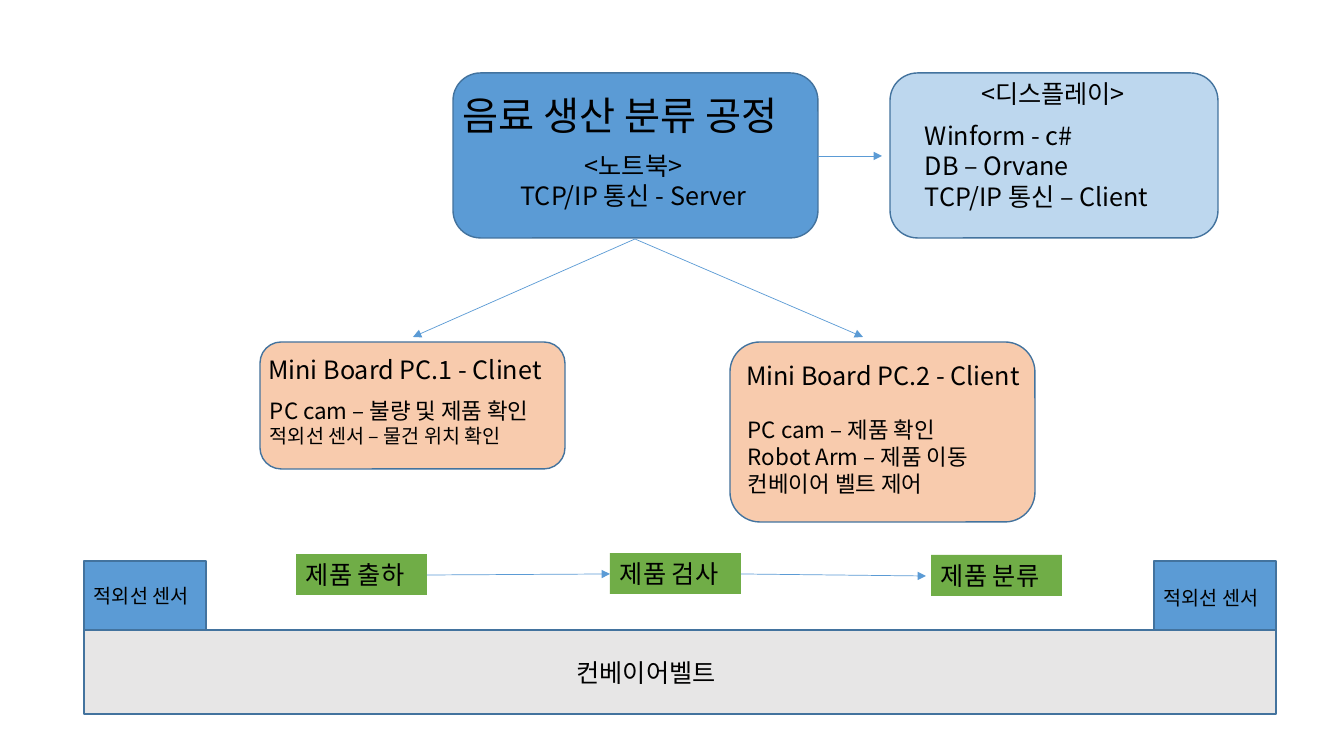
"""Build the beverage sorting process diagram slide."""
from pptx import Presentation
from pptx.dml.color import RGBColor as RGB
from pptx.enum.shapes import MSO_CONNECTOR as CONN, MSO_SHAPE as SHAPE
from pptx.enum.text import MSO_ANCHOR as ANCHOR, PP_ALIGN as ALIGN
from pptx.oxml.ns import qn
from pptx.util import Pt
from lxml import etree

PX = 914400 / 100.8
FONT = "Noto Sans CJK KR"
COLORS = {"blue": "5B9BD5", "sky": "BDD7EE", "peach": "F8CBAD", "gray": "E7E6E6",
          "green": "70AD47", "edge": "43739E", "text": "000000"}

prs = Presentation()
prs.slide_width, prs.slide_height = round(1344 * PX), round(756 * PX)
s = prs.slides.add_slide(prs.slide_layouts[6])


def add_box(kind, box, fill, edge=None):
    sp = s.shapes.add_shape(kind, *[round(v * PX) for v in box])
    sp.shadow.inherit = False
    sp.fill.solid()
    sp.fill.fore_color.rgb = RGB.from_string(COLORS[fill])
    if edge:
        sp.line.color.rgb = RGB.from_string(COLORS[edge])
        sp.line.width = Pt(1)
    else:
        sp.line.fill.background()
    return sp


def write(sp, lines, sizes, align=ALIGN.LEFT):
    tf = sp.text_frame
    tf.word_wrap = True
    tf.vertical_anchor = ANCHOR.TOP
    tf.text = "\n".join(lines)
    for p, size in zip(tf.paragraphs, sizes):
        p.alignment = align
        p.line_spacing = Pt(round(size * 1.21, 1))
        r = p.runs[0]
        r.font.size = Pt(size)
        r.font.name = FONT
        r.font.color.rgb = RGB.from_string(COLORS["text"])
        etree.SubElement(r.font._element, qn("a:ea")).set("typeface", FONT)


for kind, box, fill in [
    (SHAPE.ROUNDED_RECTANGLE, (453, 73, 365, 165), "blue"),
    (SHAPE.ROUNDED_RECTANGLE, (890, 73, 328, 165), "sky"),
    (SHAPE.ROUNDED_RECTANGLE, (260, 342, 305, 127), "peach"),
    (SHAPE.ROUNDED_RECTANGLE, (730, 342, 305, 180), "peach"),
    (SHAPE.RECTANGLE, (84, 630, 1192, 84), "gray"),
    (SHAPE.RECTANGLE, (84, 561, 122, 69), "blue"),
    (SHAPE.RECTANGLE, (1154, 561, 122, 69), "blue"),
]:
    add_box(kind, box, fill, "edge")

for box, lines, sizes, align in [
    ((453, 86, 387, 57), ["음료 생산 분류 공정"], [28], ALIGN.LEFT),
    ((480, 145, 307, 72), ["<노트북>", "TCP/IP 통신 - Server"], [18, 18], ALIGN.CENTER),
    ((925, 73, 256, 40), ["<디스플레이>"], [18], ALIGN.CENTER),
    ((915, 115, 276, 132), ["Winform - c#", "DB – Orvane", "TCP/IP 통신 – Client"],
     [18, 18, 18], ALIGN.LEFT),
    ((243, 349, 324, 40), ["Mini Board PC.1 - Clinet"], [18], ALIGN.CENTER),
    ((260, 392, 332, 92), ["PC cam – 불량 및 제품 확인", "적외선 센서 – 물건 위치 확인"],
     [16, 14], ALIGN.LEFT),
    ((721, 355, 324, 40), ["Mini Board PC.2 - Client"], [18], ALIGN.CENTER),
    ((738, 411, 332, 119), ["PC cam – 제품 확인", "Robot Arm – 제품 이동", "컨베이어 벨트 제어"],
     [16, 16, 16], ALIGN.LEFT),
    ((306, 652, 680, 40), ["컨베이어벨트"], [18], ALIGN.CENTER),
    ((84, 579, 165, 34), ["적외선 센서"], [14], ALIGN.LEFT),
    ((1154, 581, 165, 34), ["적외선 센서"], [14], ALIGN.LEFT),
]:
    write(s.shapes.add_textbox(*[round(v * PX) for v in box]), lines, sizes, align)

for x, y, step in [(296, 554, "제품 출하"), (610, 553, "제품 검사"), (931, 555, "제품 분류")]:
    write(add_box(SHAPE.RECTANGLE, (x, y, 131, 41), "green"), [step], [18])

for ends in [
    (818, 156, 882, 156),
    (635, 239, 413, 337),
    (635, 239, 863, 337),
    (427, 575, 610, 574),
    (741, 574, 926, 576),
]:
    arrow = s.shapes.add_connector(CONN.STRAIGHT, *[round(v * PX) for v in ends])
    arrow.line.color.rgb = RGB.from_string(COLORS["blue"])
    arrow.line.width = Pt(0.5)
    etree.SubElement(arrow.line._get_or_add_ln(), qn("a:tailEnd")).set("type", "triangle")
    etree.SubElement(arrow._element.spPr, qn("a:effectLst"))

prs.save("out.pptx")
